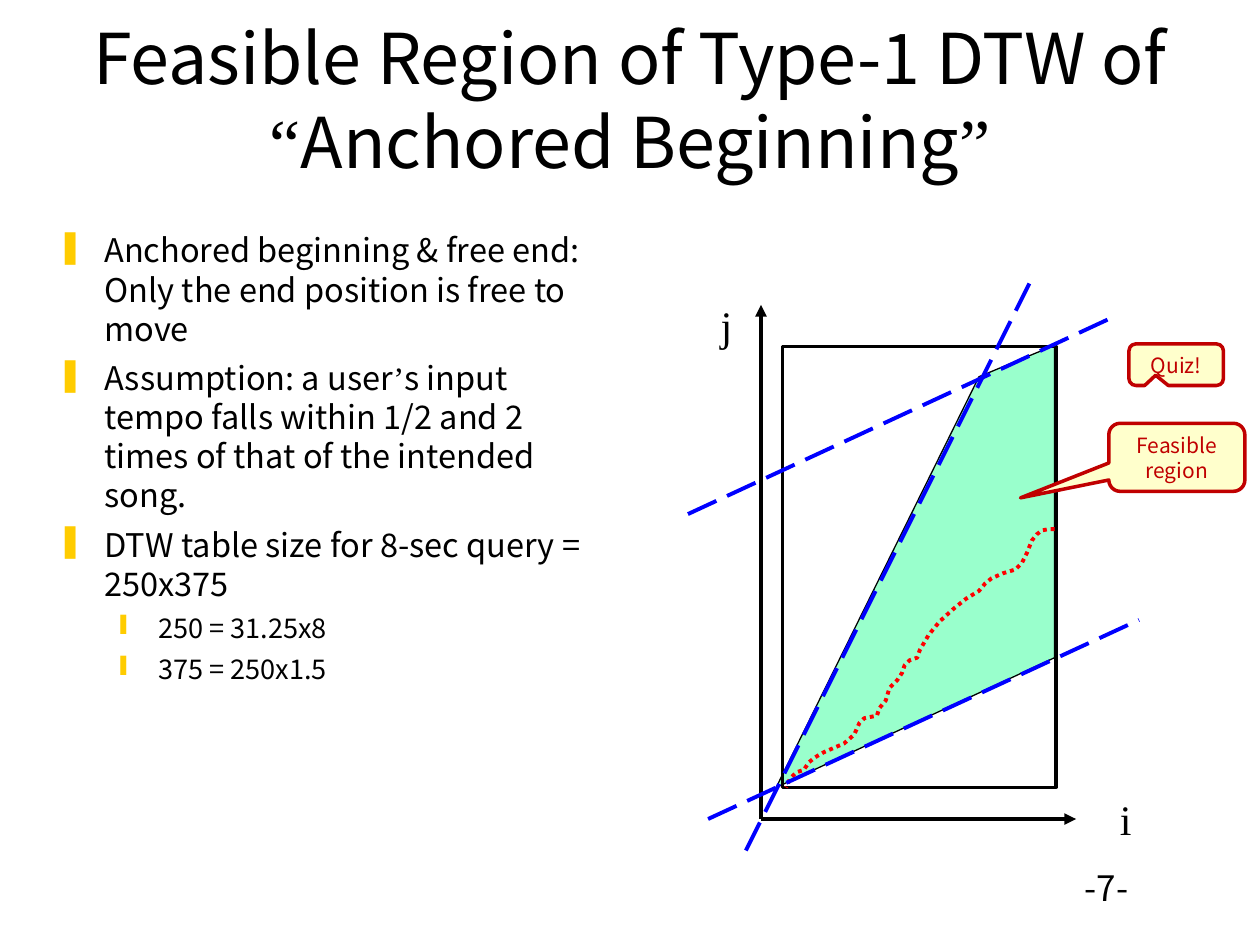
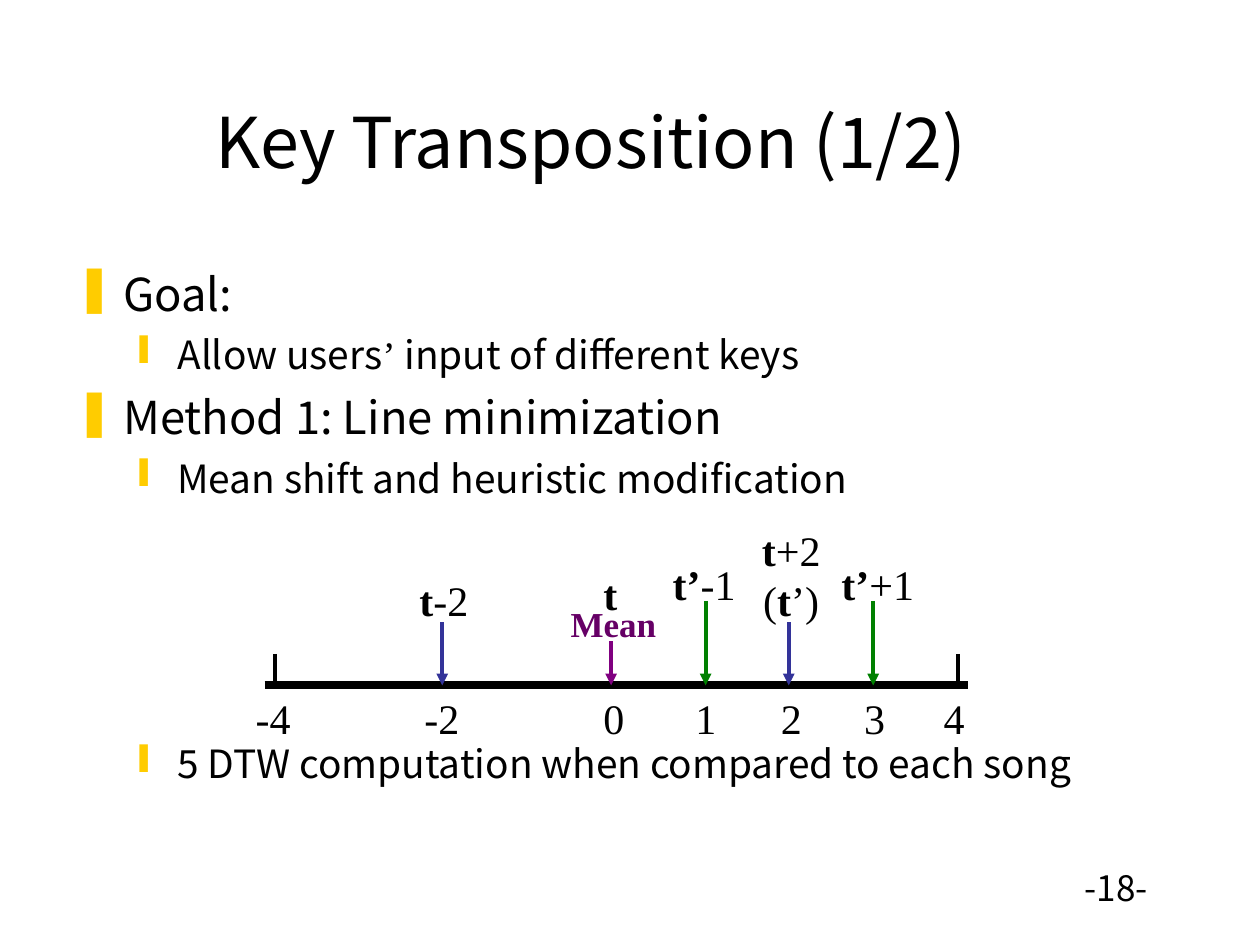
from dataclasses import dataclass
from itertools import groupby
from typing import NamedTuple, Optional

from lxml import etree
from pptx import Presentation
from pptx.dml.color import RGBColor
from pptx.enum.dml import MSO_LINE
from pptx.enum.shapes import MSO_CONNECTOR, MSO_SHAPE
from pptx.enum.text import MSO_ANCHOR, MSO_AUTO_SIZE, PP_ALIGN
from pptx.oxml.ns import qn
from pptx.util import Inches, Pt

# Shared style
SANS, SERIF = "Noto Sans CJK SC", "Times New Roman"
BLACK, BULLET, BLUE = "000000", "FFCC00", "0000FF"
GREEN, INDIGO, PURPLE, MEAN = "008000", "333399", "800080", "660066"
REGION, PATH, NOTE_FILL, NOTE_LINE = "99FFCC", "FF0000", "FFFFCC", "C00000"
BULLETS = {0: ("❚", 0.38, 0.38), 1: ("❙", 0.81, 0.31)}  # mark, margin, hanging


class Run(NamedTuple):
    text: str
    font: str = SERIF
    bold: bool = False


class Point(NamedTuple):
    x: float
    y: float


class Box(NamedTuple):
    left: float
    top: float
    width: float
    height: float


@dataclass
class Label:
    box: Box
    lines: list
    size: float = 24
    color: str = BLACK
    align: PP_ALIGN = PP_ALIGN.LEFT
    wrap: bool = False


@dataclass
class Line:
    start: Point
    end: Point
    color: str = BLACK
    width: float = 2.25
    dash: Optional[MSO_LINE] = None
    arrow: bool = False


@dataclass
class Item:
    level: int
    text: str
    space_before: float


@dataclass
class Callout:
    box: Box
    lines: list
    tail: tuple


class Mark(NamedTuple):
    value: int
    label_left: float


def rgb(color: str) -> RGBColor:
    return RGBColor.from_string(color)


def lengths(values) -> list:
    return [Inches(value) for value in values]


def prose(text: str) -> list:
    """Sans text whose curly quotes are set in the serif face."""
    groups = groupby(text, key=lambda letter: letter in "“”’")
    return [Run("".join(letters), SERIF if quote else SANS) for quote, letters in groups]


def t_label(tail: str, stem: str = "t") -> list:
    return [Run(stem, bold=True), Run(tail)]


def write_runs(paragraph, runs, size: float, color: str = BLACK) -> None:
    for part in runs:
        run = paragraph.add_run()
        run.text = part.text
        for name, value in {"name": part.font, "size": Pt(size), "bold": part.bold}.items():
            setattr(run.font, name, value)
        run.font.color.rgb = rgb(color)


def write_lines(frame, lines, size, color, align) -> None:
    for index, runs in enumerate(lines):
        paragraph = frame.add_paragraph() if index else frame.paragraphs[0]
        paragraph.alignment = align
        write_runs(paragraph, runs, size, color)


def add_label(slide, label: Label):
    shape = slide.shapes.add_textbox(*lengths(label.box))
    frame = shape.text_frame
    frame.word_wrap = label.wrap
    if not label.wrap:
        frame.auto_size = MSO_AUTO_SIZE.SHAPE_TO_FIT_TEXT
    write_lines(frame, label.lines, label.size, label.color, label.align)
    return shape


def style_line(line, color: str, width: float, dash=None) -> None:
    line.color.rgb = rgb(color)
    line.width = Pt(width)
    if dash is not None:
        line.dash_style = dash


def style_shape(shape, fill: Optional[str], color: str, width: float, dash=None) -> None:
    shape.shadow.inherit = False
    if fill:
        shape.fill.solid()
        shape.fill.fore_color.rgb = rgb(fill)
    else:
        shape.fill.background()
    style_line(shape.line, color, width, dash)


def add_line(slide, line: Line) -> None:
    connector = slide.shapes.add_connector(
        MSO_CONNECTOR.STRAIGHT, *lengths((*line.start, *line.end)))
    style_line(connector.line, line.color, line.width, line.dash)
    if line.arrow:
        etree.SubElement(connector.line._get_or_add_ln(), qn("a:tailEnd"), type="triangle")
    etree.SubElement(connector._element.spPr, qn("a:effectLst"))


def add_outline(slide, points, closed: bool):
    first, *rest = [tuple(lengths(point)) for point in points]
    builder = slide.shapes.build_freeform(*first, scale=1.0)
    builder.add_line_segments(rest, close=closed)
    return builder.convert_to_shape()


def add_callout(slide, callout: Callout) -> None:
    shape = slide.shapes.add_shape(
        MSO_SHAPE.ROUNDED_RECTANGULAR_CALLOUT, *lengths(callout.box))
    style_shape(shape, NOTE_FILL, NOTE_LINE, 2)
    for index, value in enumerate((*callout.tail, 0.167)):
        shape.adjustments[index] = value
    frame = shape.text_frame
    frame.word_wrap = False
    frame.vertical_anchor = MSO_ANCHOR.MIDDLE
    lines = [[Run(text, SANS)] for text in callout.lines]
    write_lines(frame, lines, 12, NOTE_LINE, PP_ALIGN.CENTER)


def add_body(slide, box: Box, items, sizes) -> None:
    frame = slide.shapes.add_textbox(*lengths(box)).text_frame
    frame.word_wrap = True
    for index, item in enumerate(items):
        paragraph = frame.add_paragraph() if index else frame.paragraphs[0]
        paragraph.level = item.level
        mark, margin, hanging = BULLETS[item.level]
        properties = paragraph._p.get_or_add_pPr()
        properties.set("marL", str(Inches(margin)))
        properties.set("indent", str(-Inches(hanging)))
        bullet_color = etree.SubElement(properties, qn("a:buClr"))
        etree.SubElement(bullet_color, qn("a:srgbClr"), val=BULLET)
        etree.SubElement(properties, qn("a:buChar"), char=mark)
        if index:
            paragraph.space_before = Pt(item.space_before)
        write_runs(paragraph, prose(item.text), sizes[item.level])


def new_slide(presentation, title: str, title_width: float, number: int):
    """Blank slide with the shared title and page number."""
    slide = presentation.slides.add_slide(presentation.slide_layouts[6])
    add_label(slide, Label(Box(8.51, 6.83, 1.4, 0.51), [[Run(f"-{number}-", SANS)]],
                           size=20, wrap=True))
    heading = add_label(slide, Label(Box(0.44, 0.25, title_width, 1.25), [prose(title)],
                                     size=40, align=PP_ALIGN.CENTER, wrap=True))
    heading.text_frame.vertical_anchor = MSO_ANCHOR.BOTTOM
    return slide


def build_feasible_region(presentation) -> None:
    slide = new_slide(
        presentation, "Feasible Region of Type-1 DTW of “Anchored Beginning”", 9.12, 7)

    # Feasible region, text and DTW table
    corners = [Point(6.16, 6.25), Point(8.37, 5.22), Point(8.37, 2.74), Point(7.77, 2.99)]
    style_shape(add_outline(slide, corners, True), REGION, BLACK, 0.75)
    add_body(slide, Box(0.35, 1.78, 4.58, 4.56), [
        Item(0, "Anchored beginning & free end: Only the end position is free to move", 0),
        Item(0, "Assumption: a user’s input tempo falls within 1/2 and 2 times of that "
                "of the intended song.", 6),
        Item(0, "DTW table size for 8-sec query = 250x375", 6),
        Item(1, "250 = 31.25x8", 5),
        Item(1, "375 = 250x1.5", 5),
    ], sizes=(18.6, 15.5))
    table = slide.shapes.add_shape(MSO_SHAPE.RECTANGLE, *lengths((6.21, 2.75, 2.17, 3.5)))
    style_shape(table, None, BLACK, 2)

    # Axes
    origin = Point(6.04, 6.5)
    for tip in (Point(8.54, origin.y), Point(origin.x, 2.42)):
        add_line(slide, Line(origin, tip, arrow=True))
    for name, left, top in (("i", 8.79, 6.25), ("j", 5.62, 2.33)):
        add_label(slide, Label(Box(left, top, 0.29, 0.5), [[Run(name)]]))

    # Alignment path
    path = [Point(*pair) for pair in (
        (8.37, 4.2), (8.32, 4.2), (8.27, 4.21), (8.23, 4.24), (8.19, 4.29), (8.15, 4.39),
        (8.11, 4.47), (8.06, 4.52), (7.96, 4.55), (7.87, 4.59), (7.82, 4.63), (7.77, 4.69),
        (7.67, 4.75), (7.57, 4.83), (7.46, 4.93), (7.37, 5.04), (7.3, 5.16), (7.28, 5.22),
        (7.22, 5.24), (7.18, 5.28), (7.16, 5.34), (7.12, 5.4), (7.06, 5.46), (7.03, 5.56),
        (6.98, 5.62), (6.96, 5.68), (6.91, 5.69), (6.86, 5.7), (6.82, 5.74), (6.78, 5.83),
        (6.7, 5.9), (6.54, 5.97), (6.47, 6.01), (6.42, 6.05), (6.38, 6.11), (6.32, 6.13),
        (6.27, 6.18), (6.24, 6.25))]
    style_shape(add_outline(slide, path, False), None, PATH, 2.25, MSO_LINE.ROUND_DOT)

    # Slope limits
    for start, end in (
        (Point(5.62, 6.5), Point(9.04, 4.92)),
        (Point(5.46, 4.08), Point(8.87, 2.5)),
        (Point(5.92, 6.75), Point(8.17, 2.25)),
    ):
        add_line(slide, Line(start, end, BLUE, dash=MSO_LINE.LONG_DASH))

    # Callouts
    add_callout(slide, Callout(Box(8.96, 2.73, 0.75, 0.33), ["Quiz!"], (-0.217, 0.253)))
    add_callout(slide, Callout(Box(8.8, 3.36, 1.08, 0.54), ["Feasible", "region"],
                               (-1.149, 0.596)))


def build_key_transposition(presentation) -> None:
    slide = new_slide(presentation, "Key Transposition (1/2)", 8.5, 18)
    # The last item leaves room above it for the number line
    add_body(slide, Box(0.5, 2.06, 8.94, 4.56), [
        Item(0, "Goal:", 0),
        Item(1, "Allow users’ input of different keys", 6),
        Item(0, "Method 1: Line minimization", 7),
        Item(1, "Mean shift and heuristic modification", 6),
        Item(1, "5 DTW computation when compared to each song", 136.5),
    ], sizes=(25.9, 22.2))

    # Number line with end ticks and shift arrows
    axis_y = 5.44
    add_line(slide, Line(Point(2.1, axis_y), Point(7.68, axis_y), width=4.5))
    for x, top, color in ((3.51, 4.94, INDIGO), (6.26, 4.94, INDIGO), (5.6, 4.77, GREEN),
                          (6.93, 4.77, GREEN), (4.85, 5.09, PURPLE)):
        add_line(slide, Line(Point(x, top), Point(x, axis_y), color, arrow=True))
    for x in (2.18, 7.6):
        add_line(slide, Line(Point(x, 5.19), Point(x, axis_y)))

    # Values under the line
    for mark in (Mark(-4, 1.93), Mark(-2, 3.27), Mark(0, 4.69), Mark(1, 5.42),
                 Mark(2, 6.1), Mark(3, 6.76), Mark(4, 7.39)):
        width = 0.48 if mark.value < 0 else 0.36
        add_label(slide, Label(Box(mark.label_left, 5.45, width, 0.5),
                               [[Run(str(mark.value))]]))

    # Shift names above the line
    for label in (
        Label(Box(4.43, 4.73, 0.88, 0.44), [[Run("Mean", bold=True)]], size=20, color=MEAN),
        Label(Box(3.23, 4.51, 0.59, 0.5), [t_label("-2")]),
        Label(Box(5.93, 4.11, 0.7, 0.9), [t_label("+2"), [Run("("), *t_label("’)")]],
              align=PP_ALIGN.CENTER),
        Label(Box(5.24, 4.38, 0.7, 0.5), [t_label("-1", "t’")]),
        Label(Box(6.58, 4.38, 0.8, 0.5), [t_label("+1", "t’")]),
        Label(Box(4.69, 4.46, 0.31, 0.5), [[Run("t", bold=True)]]),
    ):
        add_label(slide, label)


def main() -> None:
    presentation = Presentation()
    presentation.slide_width, presentation.slide_height = Inches(10), Inches(7.5)
    build_feasible_region(presentation)
    build_key_transposition(presentation)
    presentation.save("out.pptx")


if __name__ == "__main__":
    main()
